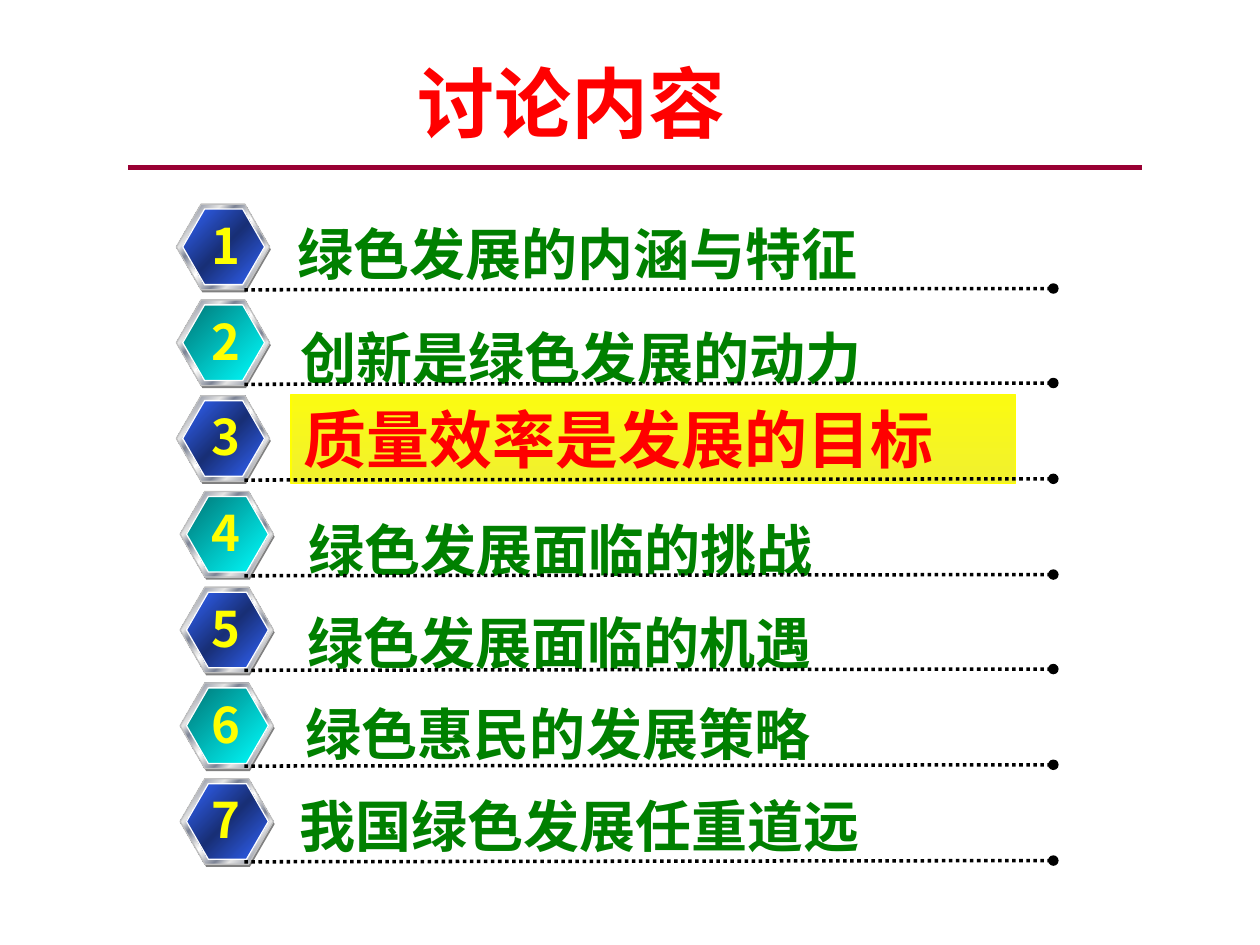
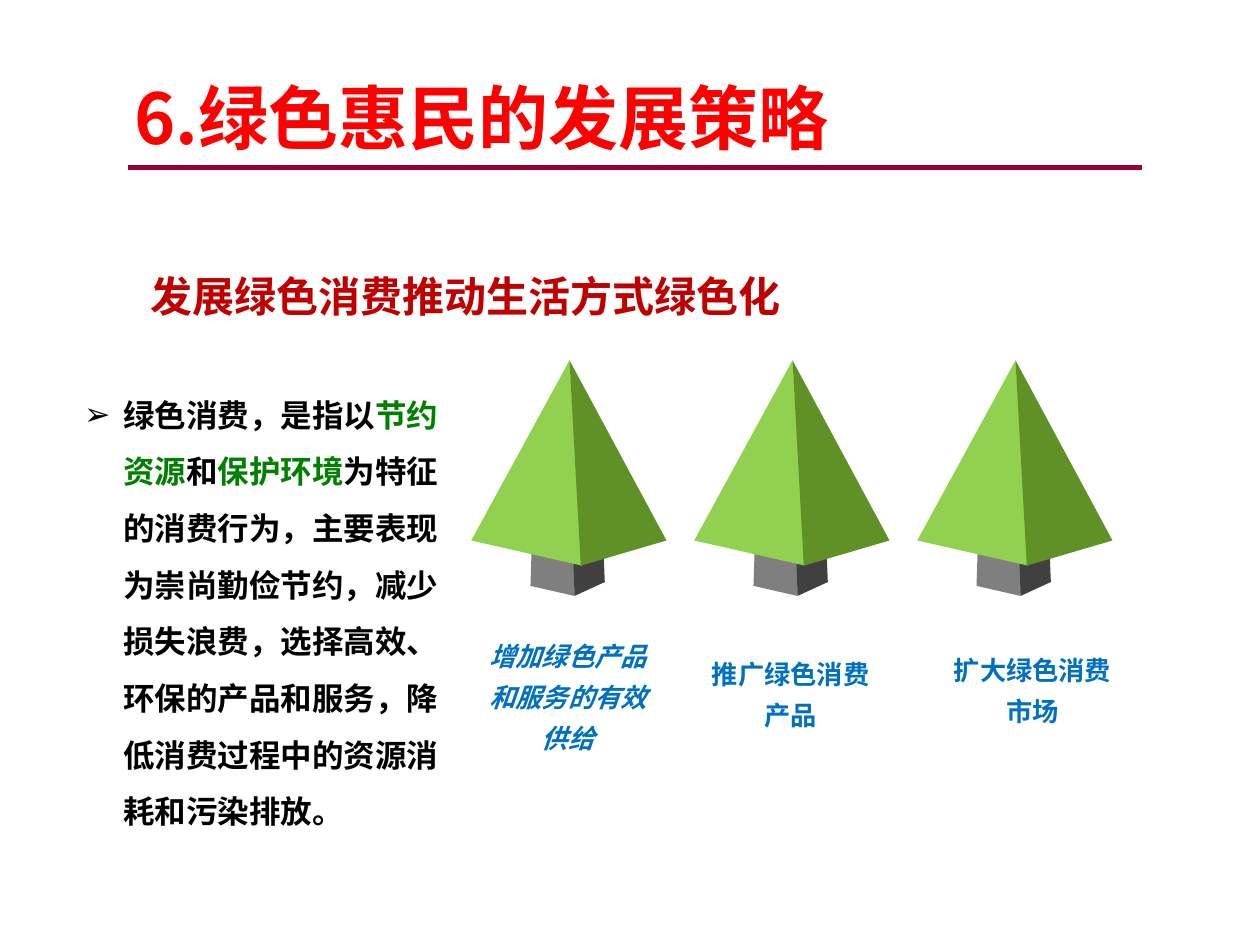
from lxml.etree import SubElement
from pptx import Presentation
from pptx.dml.color import RGBColor
from pptx.enum.dml import MSO_LINE
from pptx.enum.shapes import MSO_CONNECTOR, MSO_SHAPE
from pptx.enum.text import MSO_ANCHOR, PP_ALIGN
from pptx.oxml.ns import qn
from pptx.util import Pt

SCALE = 9144
CJK_FONT = "Noto Sans CJK SC"
RED, GREEN, BLACK, YELLOW = "FF0000", "008000", "000000", "FFFF00"
MAROON, CRIMSON, BLUE, WHITE = "990033", "C00000", "0070C0", "FFFFFF"
LIGHT_LEAF, DARK_LEAF = "92D050", "5F9127"
LIGHT_TRUNK, DARK_TRUNK = "7F7F7F", "404040"

BEVEL = [(0, "E6E6E6"), (8, "7D8496"), (26, "E6E6E6"), (34, "7D8496"),
         (46, "E6E6E6"), (50, "FFFFFF"), (54, "E6E6E6"), (66, "7D8496"),
         (74, "E6E6E6"), (92, "7D8496"), (100, "E6E6E6")]
NAVY_FACE = [(0, "3366FF"), (50, "182F76"), (100, "3366FF")]
TEAL_FACE = [(0, "007676"), (100, "00FFFF")]
HIGHLIGHT = [(0, "FBFB11"), (100, "F1F12F")]

CURRENT_TOPIC = 2
TOPICS = [
    ("绿色发展的内涵与特征", 226, 169),
    ("创新是绿色发展的动力", 229, 252),
    ("质量效率是发展的目标", 231, 313),
    ("绿色发展面临的挑战", 235, 404),
    ("绿色发展面临的机遇", 234, 478),
    ("绿色惠民的发展策略", 233, 550),
    ("我国绿色发展任重道远", 228, 623),
]

TREE_PARTS = [
    (LIGHT_TRUNK, [(422, 435), (421, 465), (456, 473), (456, 443)]),
    (DARK_TRUNK, [(455, 443), (456, 473), (480, 462), (479, 437)]),
    (LIGHT_LEAF, [(452, 286), (462, 449), (374, 429)]),
    (DARK_LEAF, [(452, 286), (461, 449), (529, 429)]),
]
TREE_PITCH = 177
CAPTIONS = [
    ((373, 496, 156, 102), ["增加绿色产品", "和服务的有效供给"], True),
    ((553, 510, 149, 102), ["推广绿色消费产品"], False),
    ((741, 507, 157, 102), ["扩大绿色消费市场"], False),
]
DEFINITION = [
    ("绿色消费，是指以", BLACK),
    ("节约资源", GREEN),
    ("和", BLACK),
    ("保护环境", GREEN),
    ("为特征的消费行为，主要表现为崇尚勤俭节约，减少损失浪费，"
     "选择高效、环保的产品和服务，降低消费过程中的资源消耗和污染排放。", BLACK),
]


def px(*lengths):
    """Turn pixel lengths into EMU."""
    return [length * SCALE for length in lengths]


def color(hex_string):
    """Turn a hex string into a colour."""
    return RGBColor.from_string(hex_string)


def add_run(paragraph, text, size, hex_color, italic=False, latin=CJK_FONT):
    """Add one bold run to a paragraph."""
    run = paragraph.add_run()
    run.text = text
    font = run.font
    font.size, font.bold, font.name = Pt(size), True, latin
    if italic:
        font.italic = True
    font.color.rgb = color(hex_color)
    SubElement(font._element, qn("a:ea"), typeface=CJK_FONT)


def indent(paragraph, left, first=0, bullet=None):
    """Set the indents and the optional bullet of a paragraph."""
    properties = paragraph._p.get_or_add_pPr()
    properties.set("marL", str(left * SCALE))
    properties.set("indent", str(first * SCALE))
    if bullet:
        SubElement(properties, qn("a:buFont"), typeface="Calibri")
        SubElement(properties, qn("a:buChar"), char=bullet)


def add_text(slide, box, lines, size, hex_color, align=PP_ALIGN.LEFT,
             spacing=None, italic=False, wrap=True):
    """Add a text box with one paragraph per line and return its frame."""
    frame = slide.shapes.add_textbox(*px(*box)).text_frame
    frame.word_wrap = wrap
    for index, line in enumerate(lines):
        paragraph = frame.add_paragraph() if index else frame.paragraphs[0]
        paragraph.alignment = align
        if spacing:
            paragraph.line_spacing = spacing
        add_run(paragraph, line, size, hex_color, italic)
    return frame


def add_line(slide, start, end, hex_color, width):
    """Add a straight line without a shadow."""
    connector = slide.shapes.add_connector(MSO_CONNECTOR.STRAIGHT, *px(*start, *end))
    connector.line.color.rgb = color(hex_color)
    connector.line.width = Pt(width)
    SubElement(connector._element.spPr, qn("a:effectLst"))
    return connector


def add_dotted_line(slide, top):
    """Add a dotted leader that ends in a round dot."""
    line = add_line(slide, (194, top), (836, top - 1), BLACK, 2).line
    line.dash_style = MSO_LINE.ROUND_DOT
    SubElement(line._get_or_add_ln(), qn("a:tailEnd"), type="oval")


def fill_gradient(shape, stops, angle):
    """Fill a shape with gradient stops at a clockwise angle."""
    shape.fill.gradient()
    shape.fill.gradient_angle = 360 - angle
    stop_list = shape._element.spPr.find(qn("a:gradFill")).find(qn("a:gsLst"))
    for old_stop in list(stop_list):
        stop_list.remove(old_stop)
    for position, hex_color in stops:
        stop = SubElement(stop_list, qn("a:gs"), pos=str(position * 1000))
        SubElement(stop, qn("a:srgbClr"), val=hex_color)


def outline(shape, hex_color=None):
    """Give a shape a thin outline or none, and no shadow."""
    shape.shadow.inherit = False
    if hex_color:
        shape.line.color.rgb = color(hex_color)
        shape.line.width = Pt(0.75)
    else:
        shape.line.fill.background()


def add_hexagon(group, box, line_color=None):
    """Add a regular hexagon to a group."""
    hexagon = group.shapes.add_shape(MSO_SHAPE.HEXAGON, *px(*box))
    hexagon.adjustments[0] = 0.289
    outline(hexagon, line_color)
    return hexagon


def add_badge(slide, number, left, top):
    """Add a bevelled hexagon badge with its number."""
    group = slide.shapes.add_group_shape()
    shade = add_hexagon(group, (left + 1, top + 2, 74, 68))
    shade.fill.solid()
    shade.fill.fore_color.rgb = color("808080")
    fill_gradient(add_hexagon(group, (left, top, 74, 68), "C0C0C0"), BEVEL, 45)
    face = add_hexagon(group, (left + 5, top + 4, 65, 60), WHITE)
    fill_gradient(face, NAVY_FACE if number % 2 else TEAL_FACE, 45)
    add_text(slide, (158, top + 4, 40, 57), [str(number)], 28, YELLOW,
             PP_ALIGN.CENTER, wrap=False)


def add_highlight(slide, text, left, top):
    """Add the yellow bar that marks the current topic."""
    bar = slide.shapes.add_shape(MSO_SHAPE.RECTANGLE, *px(left, top, 575, 71))
    fill_gradient(bar, HIGHLIGHT, 90)
    outline(bar, YELLOW)
    frame = bar.text_frame
    frame.vertical_anchor = MSO_ANCHOR.TOP
    frame.paragraphs[0].alignment = PP_ALIGN.LEFT
    add_run(frame.paragraphs[0], text, 36, RED)


def add_tree(slide, shift):
    """Add a tree of four flat faces, moved right by a shift."""
    group = slide.shapes.add_group_shape()
    for hex_color, points in TREE_PARTS:
        first, *others = [(x + shift, y) for x, y in points]
        builder = group.shapes.build_freeform(*first, scale=SCALE)
        builder.add_line_segments(others, close=True)
        face = builder.convert_to_shape()
        face.fill.solid()
        face.fill.fore_color.rgb = color(hex_color)
        outline(face)


def add_titled_slide(presentation, title, box, size, align=PP_ALIGN.LEFT):
    """Add a blank slide with the shared rule and a red title."""
    slide = presentation.slides.add_slide(presentation.slide_layouts[6])
    add_line(slide, (102, 133), (906, 133), MAROON, 3)
    add_text(slide, box, [title], size, RED, align)
    return slide


def build_agenda(presentation):
    """Build the slide that lists the topics."""
    slide = add_titled_slide(presentation, "讨论内容", (4, 39, 900, 125), 44,
                             PP_ALIGN.CENTER)
    for index, (topic, left, top) in enumerate(TOPICS):
        if index == CURRENT_TOPIC:
            add_highlight(slide, topic, left, top)
        else:
            add_text(slide, (left, top, 510, 64), [topic], 32, GREEN)
    for index in range(len(TOPICS)):
        add_badge(slide, index + 1, 140 if index < 3 else 143, 162 + 76 * index)
        add_dotted_line(slide, 230 + 757 * index // 10)


def build_consumption(presentation):
    """Build the slide on green consumption."""
    slide = add_titled_slide(presentation, "6.绿色惠民的发展策略",
                             (97, 54, 802, 77), 40)
    heading = add_text(slide, (82, 190, 754, 139), ["发展绿色消费推动生活方式绿色化"],
                       24, CRIMSON, spacing=1.5)
    indent(heading.paragraphs[0], 28)
    for index, (box, lines, italic) in enumerate(CAPTIONS):
        add_tree(slide, index * TREE_PITCH)
        add_text(slide, box, lines, 15, BLUE, PP_ALIGN.CENTER, 1.3, italic)
    frame = add_text(slide, (57, 294, 316, 373), [], 18, BLACK)
    paragraph = frame.paragraphs[0]
    paragraph.line_spacing = 1.5
    indent(paragraph, 31, -31, "➢")
    for text, hex_color in DEFINITION:
        add_run(paragraph, text, 18, hex_color, latin="Calibri")


def main():
    """Build and save the presentation."""
    presentation = Presentation()
    presentation.slide_width, presentation.slide_height = px(1000, 750)
    build_agenda(presentation)
    build_consumption(presentation)
    presentation.save("out.pptx")


if __name__ == "__main__":
    main()
